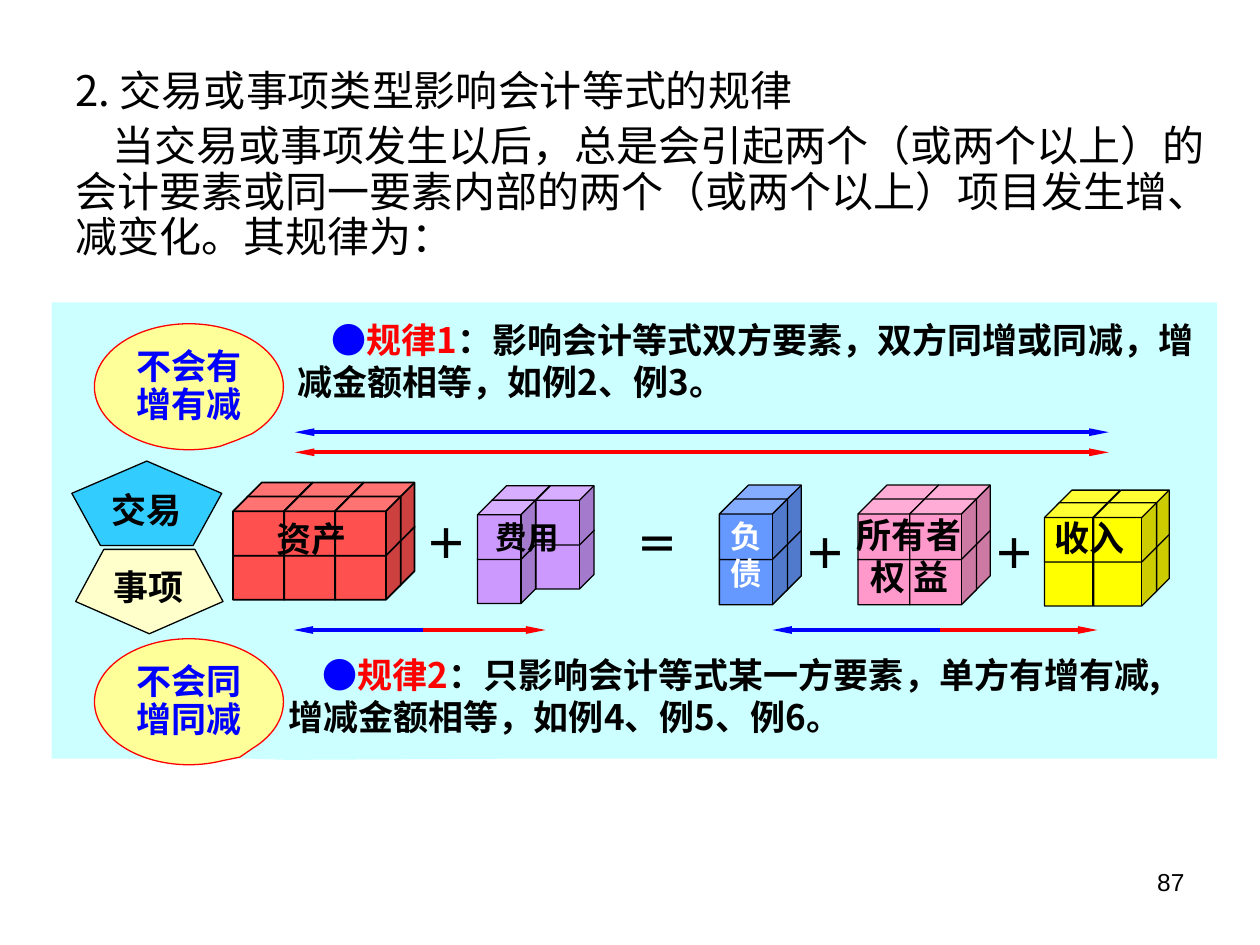
from lxml import etree
from pptx import Presentation
from pptx.dml.color import RGBColor
from pptx.enum.shapes import MSO_CONNECTOR, MSO_SHAPE
from pptx.enum.text import MSO_ANCHOR, MSO_AUTO_SIZE, PP_ALIGN
from pptx.oxml.ns import qn
from pptx.util import Inches, Pt

CUBE, PENTAGON = MSO_SHAPE.CUBE, MSO_SHAPE.REGULAR_PENTAGON
PANEL, BALLOON = MSO_SHAPE.RECTANGULAR_CALLOUT, MSO_SHAPE.OVAL_CALLOUT
LEFT, CENTER, RIGHT = PP_ALIGN.LEFT, PP_ALIGN.CENTER, PP_ALIGN.RIGHT
TOP, MIDDLE = MSO_ANCHOR.TOP, MSO_ANCHOR.MIDDLE
CJK = "Noto Sans CJK SC"
BLACK, WHITE, BLUE, RED = "000000", "FFFFFF", "0000FF", "FF0000"

presentation = Presentation()
presentation.slide_width, presentation.slide_height = Inches(10), Inches(7.5)
CELL = presentation.slide_width / 100  # grid of 100 columns by 75 rows
slide = presentation.slides.add_slide(presentation.slide_layouts[1])


def add_filled(kind, cells, fill, line=None, line_width=0.75):
    """Add a preset shape at (left, top, width, height) in grid cells."""
    shape = slide.shapes.add_shape(kind, *[round(cell * CELL) for cell in cells])
    shape.shadow.inherit = False
    shape.fill.solid()
    shape.fill.fore_color.rgb = RGBColor.from_string(fill)
    if line:
        shape.line.color.rgb = RGBColor.from_string(line)
        shape.line.width = Pt(line_width)
    else:
        shape.line.fill.background()
    return shape


def write(shape, paragraphs, size, align=LEFT, bold=True, spacing=1.2,
          indent=0, right=1, font=CJK, anchor=TOP):
    """Fill a shape with paragraphs, each a list of (text, colour) runs."""
    frame = shape.text_frame
    frame.word_wrap, frame.auto_size = True, MSO_AUTO_SIZE.NONE
    frame.vertical_anchor = anchor
    frame.margin_left, frame.margin_right = Inches(0.1), round(right * CELL)
    frame.margin_top = frame.margin_bottom = Inches(0.05)
    for index, runs in enumerate(paragraphs):
        paragraph = frame.add_paragraph() if index else frame.paragraphs[0]
        paragraph.alignment = align
        paragraph.line_spacing = Pt(round(size * spacing, 1))
        paragraph.space_before = Pt(0)
        properties = paragraph._p.get_or_add_pPr()
        properties.set("marL", "0")
        properties.set("indent", str(0 if index else round(indent * CELL)))
        etree.SubElement(properties, qn("a:buNone"))
        for text, color in runs:
            run = paragraph.add_run()
            run.text = text
            run.font.size, run.font.bold, run.font.name = Pt(size), bold, font
            run.font.color.rgb = RGBColor.from_string(color)
            east_asian = etree.SubElement(run._r.get_or_add_rPr(), qn("a:ea"))
            east_asian.set("typeface", CJK)


# Heading and introduction
title, body = slide.placeholders[0], slide.placeholders[1]
for placeholder, top, height, indent, text in (
    (title, 5, 4.4, 0, "2. 交易或事项类型影响会计等式的规律"),
    (body, 9.4, 12.5, 2.9,
     "当交易或事项发生以后，总是会引起两个（或两个以上）的会计要素或同一要素"
     "内部的两个（或两个以上）项目发生增、减变化。其规律为："),
):
    placeholder.left, placeholder.top = round(5 * CELL), round(top * CELL)
    placeholder.width, placeholder.height = round(91.7 * CELL), round(height * CELL)
    write(placeholder, [[(text, BLACK)]], 24, bold=False, spacing=1.08,
          indent=indent, right=0.9)

panel = add_filled(PANEL, (4.1, 24, 92.5, 36.2), "CCFFFF")
panel.adjustments[0], panel.adjustments[1] = -0.297, 0.503

# Blocks of cubes: colour, front corner, cube size, steps, depth, columns back and front
blocks = (
    ("FF5050", 18.5, 39.4, 5.2, 4.7, 4.05, 3.5, 1.1, 3, 3, 1),
    ("6699FF", 57.1, 39.6, 5.4, 4.8, 4.1, 3.6, 1.1, 1, 1, 0.75),
    ("FF99CC", 68.1, 39.6, 5.3, 4.8, 4.1, 3.6, 1.1, 2, 2, 0.75),
    ("FFFF00", 82.9, 39.9, 5, 4.7, 3.9, 3.5, 1, 2, 2, 0.75),
    ("CC99FF", 37.9, 39.7, 4.6, 4.7, 3.5, 3.5, 1.15, 2, 1, 0.75),
)
for (color, left, top, width, height, step_x, step_y, depth,
     back_columns, front_columns, line_width) in blocks:
    for columns, shift in ((back_columns, depth), (front_columns, 0)):
        for row in (1, 0):
            for column in range(columns):
                add_filled(CUBE, (left + column * step_x + shift,
                                  top + row * step_y - shift, width, height),
                           color, BLACK, line_width)

# Transaction and event pentagons
add_filled(PENTAGON, (6, 43.6, 11.7, 6.7), "FFFFCC", BLACK).rotation = 180
add_filled(PENTAGON, (5.7, 36.6, 11.9, 6.7), "33CCFF", BLACK)

# Labels and operators
for cells, lines, size, color, align in (
    ((19.9, 40.6, 9.6, 5.9), ["资产"], 20, BLACK, CENTER),
    ((57, 40.5, 3.9, 5.1), ["负债"], 18, WHITE, CENTER),
    ((66.7, 40.3, 10.9, 7.7), ["所有者", "权 益"], 20, BLACK, CENTER),
    ((82.7, 40.5, 8.7, 5.9), ["收入"], 20, BLACK, LEFT),
    ((37.8, 40.6, 8.1, 5.8), ["费用"], 18, BLACK, CENTER),
    ((48.6, 40.7, 7.1, 5.7), ["＝"], 24, BLACK, CENTER),
    ((32.7, 40.6, 5.5, 4.6), ["＋"], 24, BLACK, CENTER),
    ((62.8, 41.4, 5.5, 4.6), ["＋"], 24, BLACK, CENTER),
    ((77.8, 41.4, 5.5, 4.6), ["＋"], 24, BLACK, CENTER),
    ((6.8, 44.4, 10, 5), ["事项"], 20, BLACK, CENTER),
    ((6.6, 38.3, 10, 5), ["交易"], 20, BLACK, CENTER),
):
    label = slide.shapes.add_textbox(*[round(cell * CELL) for cell in cells])
    write(label, [[(line, color)] for line in lines], size, align)

# Arrows: start, end, row, colour, arrowheads
for start, end, row, color, heads in (
    (88, 23.4, 34.3, BLUE, ("headEnd", "tailEnd")),
    (88, 23.4, 35.9, RED, ("headEnd", "tailEnd")),
    (74.6, 87.1, 50, RED, ("tailEnd",)),
    (74.6, 61.3, 50, BLUE, ("tailEnd",)),
    (33.6, 43.3, 50, RED, ("tailEnd",)),
    (33.6, 23.3, 50, BLUE, ("tailEnd",)),
):
    arrow = slide.shapes.add_connector(
        MSO_CONNECTOR.STRAIGHT, *[round(cell * CELL) for cell in (start, row, end, row)])
    arrow.line.color.rgb = RGBColor.from_string(color)
    arrow.line.width = Pt(2.25)
    for head in heads:
        etree.SubElement(arrow.line._get_or_add_ln(), qn("a:" + head),
                         type="triangle", w="sm", len="lg")
    etree.SubElement(arrow._element.spPr, qn("a:effectLst"))

# The two rules
for cells, name, first_line, more_lines in (
    ((22.6, 24.8, 74, 8.7), "规律1",
     "：影响会计等式双方要素，双方同增或同减，增减金额相等，如例2、例3。", []),
    ((21.9, 51.4, 74.8, 8.1), "规律2",
     "：只影响会计等式某一方要素，单方有增有减,",
     [[("增减金额相等，如例4、例5、例6。", BLACK)]]),
):
    rule = slide.shapes.add_textbox(*[round(cell * CELL) for cell in cells])
    opening = [("●", BLUE), (name, RED), (first_line, BLACK)]
    write(rule, [opening] + more_lines, 20, indent=2.7, right=1.5)

# What each rule excludes
for top, text, tip in ((25.7, "不会有增有减", (0.251, 0.425)),
                       (50.7, "不会同增同减", (0.27, 0.439))):
    balloon = add_filled(BALLOON, (7.5, top, 15, 10), "FFFF99", RED)
    balloon.adjustments[0], balloon.adjustments[1] = tip
    write(balloon, [[(text, BLUE)]], 20, CENTER, spacing=1.08,
          font="Arial", anchor=MIDDLE)

page_number = slide.shapes.add_textbox(
    *[round(cell * CELL) for cell in (71.7, 68.3, 23.3, 5.2)])
write(page_number, [[("87", BLACK)]], 14, RIGHT, bold=False, font="Arial")

presentation.save("out.pptx")
